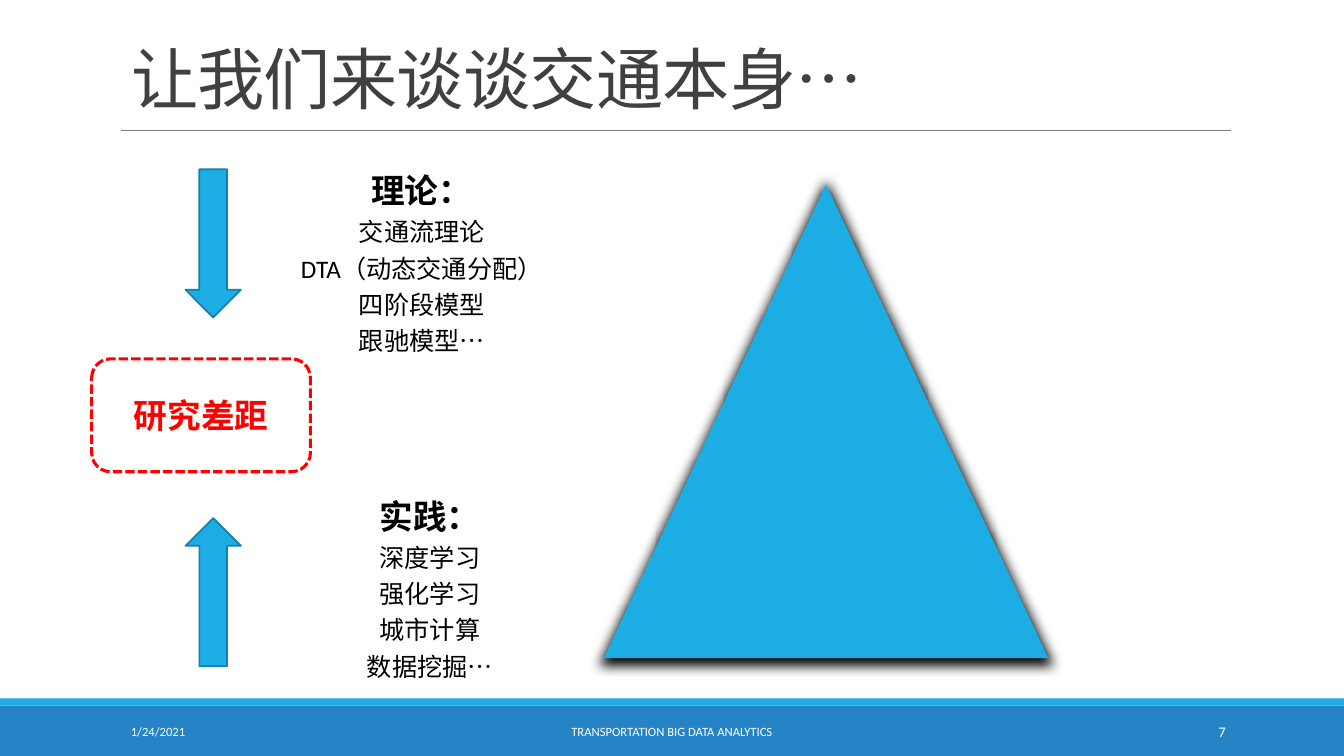
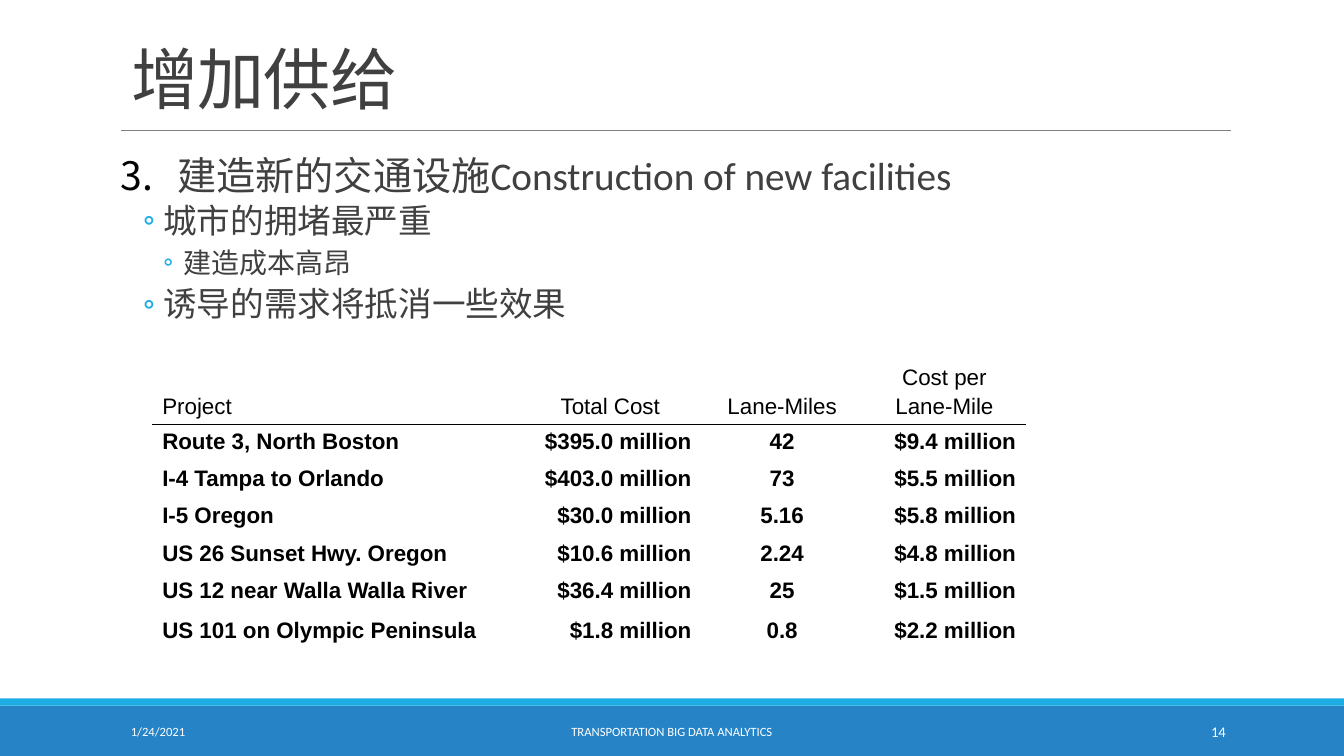
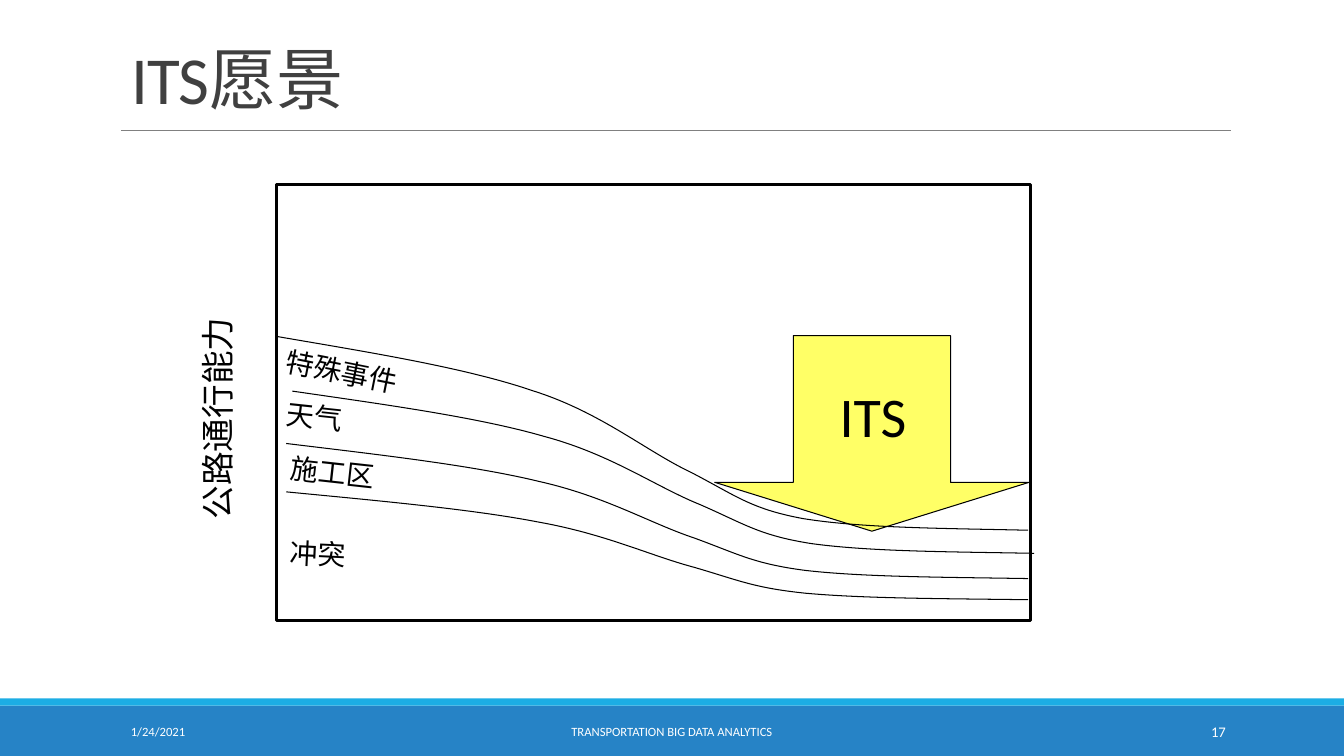
from lxml.etree import SubElement
from pptx import Presentation
from pptx.dml.color import RGBColor
from pptx.enum.dml import MSO_LINE
from pptx.enum.lang import MSO_LANGUAGE_ID as Lang
from pptx.enum.shapes import MSO_CONNECTOR, MSO_SHAPE as Kind
from pptx.enum.text import MSO_ANCHOR as Anchor, MSO_AUTO_SIZE as Fit, PP_ALIGN as Align
from pptx.oxml.ns import qn
from pptx.util import Emu, Pt

WIDE, HIGH = Emu(12192000), Emu(6858000)
HUES = {
    "blue": "2683C6", "sky": "1CADE4", "edge": "1580A9", "rule": "808080",
    "gray": "404040", "black": "000000", "white": "FFFFFF", "red": "FF0000",
    "yellow": "FFFF66",
}
NO_STYLE = "{2D5ABB26-0587-4C30-8999-92F81FD0307C}"

THEORY = ["理论：", "交通流理论", "DTA（动态交通分配）", "四阶段模型", "跟驰模型…"]
USAGE = ["实践：", "深度学习", "强化学习", "城市计算", "数据挖掘…"]

POINTS = [  # level, text, size, left margin, hanging indent
    (0, "建造新的交通设施Construction of new facilities", 28, 56, 56),
    (1, "城市的拥堵最严重", 24, 42, 20),
    (2, "建造成本高昂", 20, 62, 20),
    (1, "诱导的需求将抵消一些效果", 24, 42, 20),
]

COSTS = [
    ("Project", "Total Cost", "Lane-Miles", "Cost per\nLane-Mile"),
    ("Route 3, North Boston", "$395.0 million", "42", "$9.4 million"),
    ("I-4 Tampa to Orlando", "$403.0 million", "73", "$5.5 million"),
    ("I-5 Oregon", "$30.0 million", "5.16", "$5.8 million"),
    ("US 26 Sunset Hwy. Oregon", "$10.6 million", "2.24", "$4.8 million"),
    ("US 12 near Walla Walla River", "$36.4 million", "25", "$1.5 million"),
    ("US 101 on Olympic Peninsula", "$1.8 million", "0.8", "$2.2 million"),
]

BEND = [  # Bezier points shared by all curves, as shares of width and height
    (0, 0), (0.12, 0.08), (0.25, 0.16), (0.34, 0.28), (0.43, 0.39),
    (0.49, 0.59), (0.55, 0.7), (0.61, 0.82), (0.63, 0.89), (0.7, 0.94),
    (0.78, 0.99), (0.89, 0.99), (1, 1),
]
CURVES = [(284, 488, 736, 107), (284, 440, 736, 134),
          (290, 388, 736, 161), (276, 334, 744, 192)]
LABELS = [("冲突", 278, 531, 216, 2.8), ("特殊事件", 272, 364, 305, 11.4),
          ("天气", 274, 399, 216, 6), ("施工区", 278, 453, 216, 6.3)]


def px(num):
    """Turn px, 100 to the inch, into EMU."""
    return Emu(round(num * 9144))


def hue(name):
    return RGBColor.from_string(HUES[name])


def say(par, text, size, tint="black", face="Calibri", bold=False):
    """Add one run to a paragraph."""
    run = par.add_run()
    run.text = text
    font = run.font
    font.size, font.name, font.bold = Pt(size), face, bold
    font.color.rgb = hue(tint)
    font.language_id = Lang.SIMPLIFIED_CHINESE
    return run


def next_par(frame, index):
    return frame.add_paragraph() if index else frame.paragraphs[0]


def place(shape, box):
    shape.left, shape.top, shape.width, shape.height = map(px, box)


def paint(shape, fill=None, line=None, width=1):
    shape.shadow.inherit = False
    if fill:
        shape.fill.solid()
        shape.fill.fore_color.rgb = hue(fill)
    else:
        shape.fill.background()
    if line:
        shape.line.color.rgb = hue(line)
        shape.line.width = Pt(width)
    else:
        shape.line.fill.background()


def draw(slide, kind, box, fill=None, line=None, width=1):
    shape = slide.shapes.add_shape(kind, *map(px, box))
    paint(shape, fill, line, width)
    return shape


def label(slide, box, text, size, tint="black", face="Calibri", align=Align.LEFT,
          turn=0, wrap=True, anchor=Anchor.TOP):
    area = slide.shapes.add_textbox(*map(px, box))
    area.rotation = turn
    frame = area.text_frame
    frame.word_wrap = wrap
    frame.vertical_anchor = anchor
    par = frame.paragraphs[0]
    par.alignment = align
    say(par, text, size, tint, face)


def topic(slide, box, lines):
    """Write a bold heading with centred lines under it."""
    frame = slide.shapes.add_textbox(*map(px, box)).text_frame
    frame.word_wrap = True
    for i, text in enumerate(lines):
        par = next_par(frame, i)
        par.alignment, par.line_spacing = Align.CENTER, 1.2
        say(par, text, 18 if i else 24, bold=not i)


def dress(deck, slide):
    """Draw the bands and rule, then move them to the slide master."""
    bands = [draw(slide, Kind.RECTANGLE, (0, top, 1333, high), tint)
             for top, high, tint in ((700, 50, "blue"), (693, 7, "sky"))]
    for band in bands:
        band.width = WIDE
    rule = slide.shapes.add_connector(
        MSO_CONNECTOR.STRAIGHT, px(120), px(129), px(1221), px(129))
    rule.line.color.rgb = hue("rule")
    rule.line.width = Pt(0.5)
    SubElement(rule._element.spPr, qn("a:effectLst"))
    tree = deck.slide_master.shapes._spTree
    for i, part in enumerate((*bands, rule)):
        part._element[0][0].set("id", str(101 + i))
        tree.insert(2 + i, part._element)


def add_page(deck, layout, title, number):
    """Add a slide with the shared title style and footer."""
    slide = deck.slides.add_slide(deck.slide_layouts[layout])
    head = slide.shapes.title
    place(head, (120, 13, 1100, 109))
    frame = head.text_frame
    frame.vertical_anchor, frame.auto_size = Anchor.BOTTOM, Fit.NONE
    par = frame.paragraphs[0]
    par.alignment, par.line_spacing = Align.LEFT, 0.85
    run = say(par, title, 48, "gray")
    run._r.get_or_add_rPr().set("spc", "-50")

    for left, width, text, size, align in (
            (120, 270, "1/24/2021", 9, Align.LEFT),
            (403, 527, "TRANSPORTATION BIG DATA ANALYTICS", 9, Align.CENTER),
            (1083, 143, str(number), 10.5, Align.RIGHT)):
        label(slide, (left, 706, width, 40), text, size, "white",
              align=align, anchor=Anchor.MIDDLE)
    return slide


def bullet(par, tint, left, hang, start=None):
    """Give a paragraph a ring, or a number if start is set."""
    props = par._p.get_or_add_pPr()
    props.set("marL", str(px(left)))
    props.set("indent", str(-px(hang)))
    color = SubElement(props, qn("a:buClr"))
    SubElement(color, qn("a:srgbClr"), val=HUES[tint])
    SubElement(props, qn("a:buFont"), typeface="Calibri")
    if start:
        SubElement(props, qn("a:buAutoNum"), type="arabicPeriod", startAt=str(start))
    else:
        SubElement(props, qn("a:buChar"), char="◦")


def fill_body(slide):
    body = slide.placeholders[1]
    place(body, (120, 150, 850, 495))
    frame = body.text_frame
    frame.auto_size = Fit.NONE
    frame.margin_left = frame.margin_right = 0
    for i, (level, text, size, left, hang) in enumerate(POINTS):
        par = next_par(frame, i)
        par.level = level
        if level:
            bullet(par, "sky", left, hang)
        else:
            bullet(par, "black", left, hang, 3)
        par.line_spacing = 0.9
        par.space_before = Pt(2 if i else 0)
        par.space_after = Pt(4 if i else 2)
        say(par, text, size, "gray")


def underline(cell):
    line = cell._tc.get_or_add_tcPr().makeelement(qn("a:lnB"), w=str(Pt(1)))
    solid = SubElement(line, qn("a:solidFill"))
    SubElement(solid, qn("a:srgbClr"), val=HUES["black"])
    cell._tc.tcPr.insert(0, line)


def add_costs(slide):
    wide = (364, 181, 160, 162)
    high = (60, 37, 37, 37, 37, 40, 37)
    sides = (Align.LEFT, Align.RIGHT, Align.CENTER, Align.RIGHT)
    box = (151, 353, 867, 292)
    frame = slide.shapes.add_table(len(high), len(wide), *map(px, box))
    grid = frame.table
    grid.first_row = grid.horz_banding = False
    grid._tbl.tblPr.find(qn("a:tableStyleId")).text = NO_STYLE
    for col, width in zip(grid.columns, wide):
        col.width = px(width)
    for r, (row, height) in enumerate(zip(grid.rows, high)):
        row.height = px(height)
        for c, cell in enumerate(row.cells):
            cell.fill.background()
            if not r:
                cell.vertical_anchor = Anchor.BOTTOM
                underline(cell)
            for i, text in enumerate(COSTS[r][c].split("\n")):
                par = next_par(cell.text_frame, i)
                par.alignment = sides[c] if r or not c else Align.CENTER
                if i:
                    gap = SubElement(par._p.get_or_add_pPr(), qn("a:spcBef"))
                    SubElement(gap, qn("a:spcPct"), val="20000")
                say(par, text, 16, face="Arial", bold=r > 0)
    place(frame, box)


def curve(slide, left, top, width, height):
    """Draw the shared bend as one open Bezier path."""
    nodes = [(px(left + x * width), px(top + y * height)) for x, y in BEND]
    build = slide.shapes.build_freeform(*nodes[0])
    build.add_line_segments(nodes[1:], close=False)
    shape = build.convert_to_shape()
    paint(shape, line="black", width=0.75)
    steps = list(shape._element.iter(qn("a:lnTo")))
    trail = steps[0].getparent()
    for i in range(0, len(steps), 3):
        arc = SubElement(trail, qn("a:cubicBezTo"))
        for step in steps[i:i + 3]:
            arc.append(step[0])
            trail.remove(step)


def gap_page(deck):
    slide = add_page(deck, 5, "让我们来谈谈交通本身…", 7)
    dress(deck, slide)
    peak = draw(slide, Kind.ISOSCELES_TRIANGLE, (599, 183, 441, 470), "sky")
    glow = SubElement(peak._element.spPr.find(qn("a:effectLst")), qn("a:outerShdw"),
                      blurRad=str(Pt(8.5)), dist=str(Pt(1)), dir="5400000",
                      sx="102000", sy="102000", algn="ctr", rotWithShape="0")
    SubElement(glow, qn("a:srgbClr"), val=HUES["black"])
    topic(slide, (255, 156, 327, 201), THEORY)
    topic(slide, (263, 479, 327, 201), USAGE)
    for top, turn in ((168, 0), (514, 180)):
        arrow = draw(slide, Kind.DOWN_ARROW, (184, top, 55, 147), "sky", "edge", 1.25)
        arrow.rotation = turn
    gap = draw(slide, Kind.ROUNDED_RECTANGLE, (91, 356, 217, 112), None, "red", 2.25)
    gap.line.dash_style = MSO_LINE.SQUARE_DOT
    frame = gap.text_frame
    frame.vertical_anchor = Anchor.MIDDLE
    par = frame.paragraphs[0]
    par.alignment = Align.CENTER
    say(par, "研究差距", 24, "red", bold=True)


def supply_page(deck):
    slide = add_page(deck, 1, "增加供给", 14)
    fill_body(slide)
    add_costs(slide)


def vision_page(deck):
    slide = add_page(deck, 5, "ITS愿景", 17)
    draw(slide, Kind.RECTANGLE, (274, 183, 748, 433), None, "black", 2.25)
    for text, left, top, width, turn in LABELS:
        label(slide, (left, top, width, 43), text, 20, face="Lato", turn=turn)
    arrow = draw(slide, Kind.DOWN_ARROW, (709, 333, 312, 194), "yellow", "black", 0.75)
    arrow.adjustments[0], arrow.adjustments[1] = 0.5, 0.25
    label(slide, (779, 374, 174, 77), "ITS", 40, align=Align.CENTER)
    for box in CURVES:
        curve(slide, *box)
    label(slide, (104, 389, 222, 50), "公路通行能力", 24, face="Arial",
          turn=270, wrap=False)


def main():
    deck = Presentation()
    deck.slide_width, deck.slide_height = WIDE, HIGH
    gap_page(deck)
    supply_page(deck)
    vision_page(deck)
    deck.save("out.pptx")


if __name__ == "__main__":
    main()
